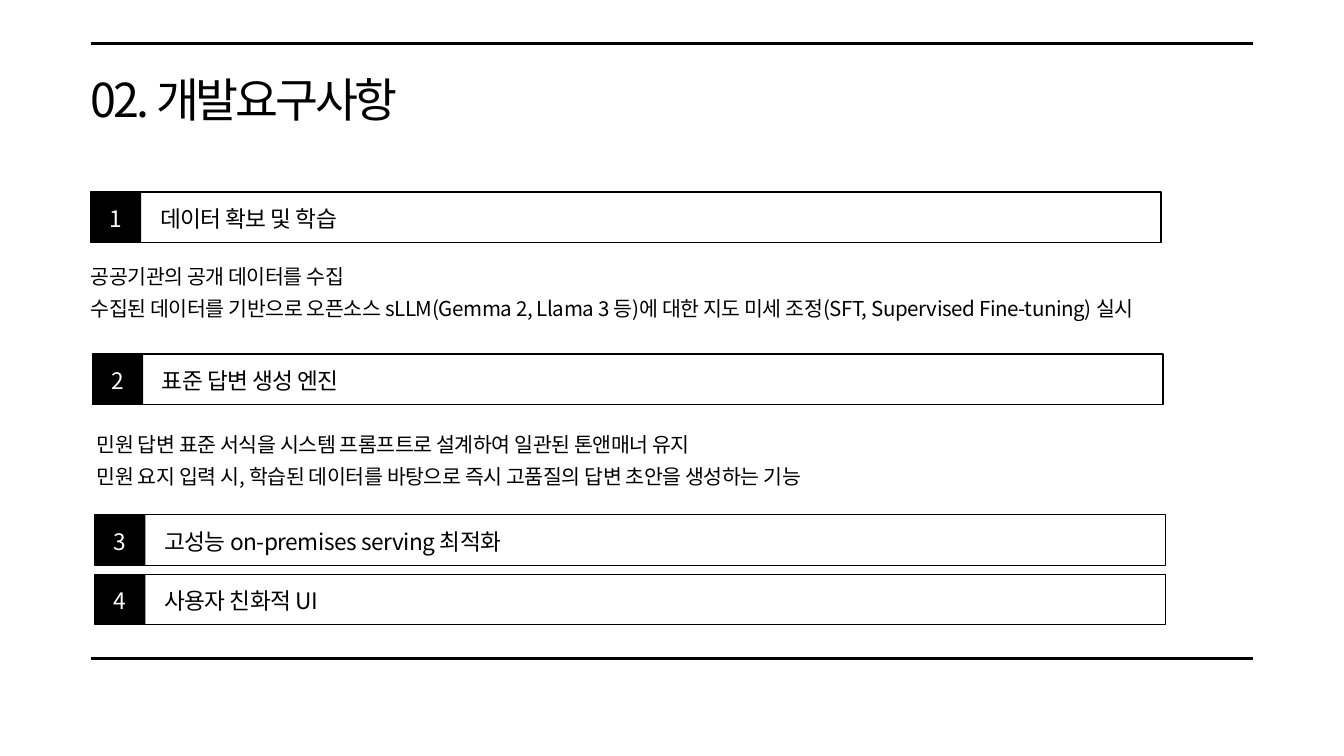
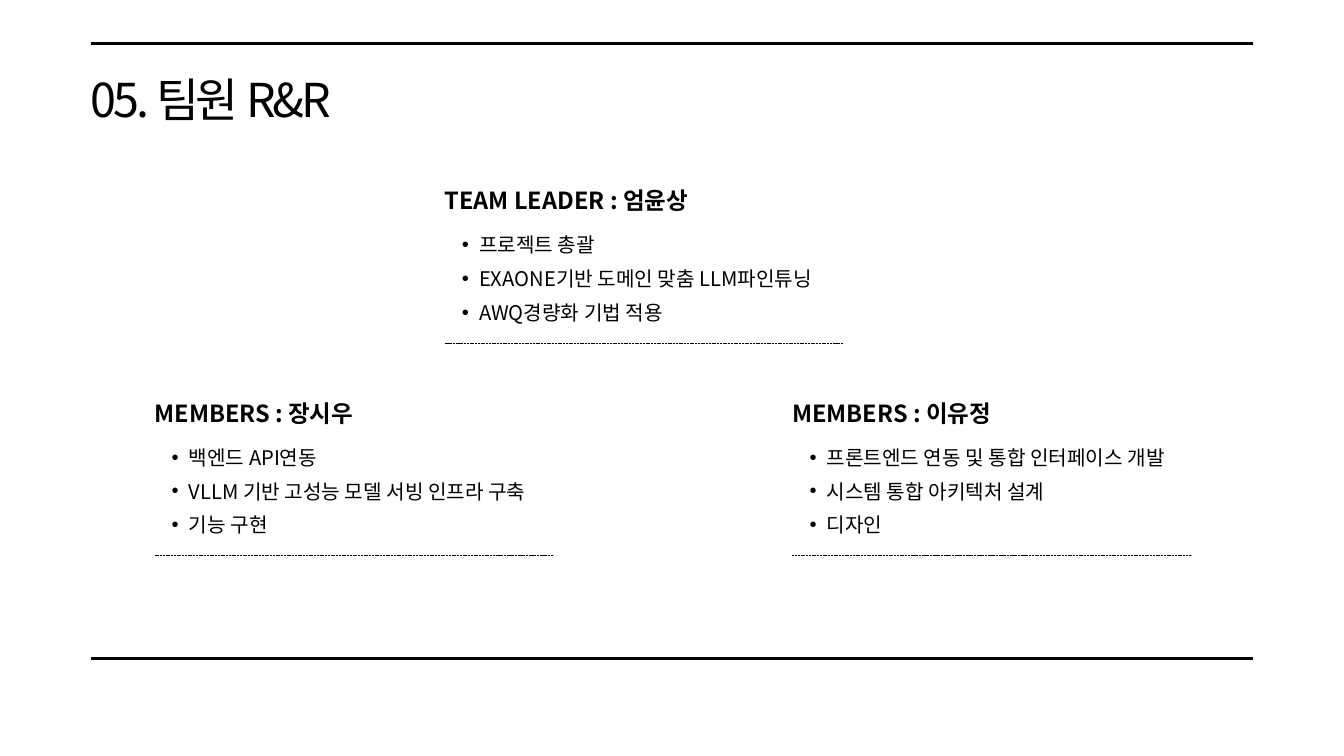
from collections import namedtuple

from lxml.etree import SubElement
from pptx import Presentation
from pptx.dml.color import RGBColor
from pptx.enum.dml import MSO_LINE
from pptx.enum.shapes import MSO_CONNECTOR, MSO_SHAPE
from pptx.enum.text import MSO_ANCHOR, MSO_AUTO_SIZE, PP_ALIGN
from pptx.oxml.ns import qn
from pptx.util import Cm, Pt

Box = namedtuple("Box", "left top width height")
Style = namedtuple("Style", "size leading color spacing bold align bullet",
                   defaults=("000000", 0, False, PP_ALIGN.LEFT, False))

FONT = "Noto Sans CJK KR"
BLACK, WHITE = "000000", "FFFFFF"
SLIDE_WIDTH, SLIDE_HEIGHT = 50.8, 28.58
MARGIN = 3.43
RULE_TOPS = (1.65, 24.89)

TITLE = Style(50, 48.5, spacing=-3.5)
HEADING = Style(24.3, 38.1, spacing=-0.5)
NUMBER = HEADING._replace(color=WHITE, align=PP_ALIGN.CENTER)
BODY = Style(22, 34.5, spacing=-0.4)
ROLE = Style(25.2, 37.6, bold=True)
DUTY = Style(21.6, 36.1, align=PP_ALIGN.JUSTIFY, bullet=True)

REQUIREMENTS = [
    (Box(3.43, 7.26, 40.46, 1.91), "데이터 확보 및 학습", (0, 2.44), [
        "공공기관의 공개 데이터를 수집",
        "수집된 데이터를 기반으로 오픈소스 sLLM(Gemma 2, Llama 3 등)에 대한 "
        "지도 미세 조정(SFT, Supervised Fine-tuning) 실시"]),
    (Box(3.5, 13.38, 40.46, 1.91), "표준 답변 생성 엔진", (0.16, 2.65), [
        "민원 답변 표준 서식을 시스템 프롬프트로 설계하여 일관된 톤앤매너 유지",
        "민원 요지 입력 시, 학습된 데이터를 바탕으로 즉시 고품질의 답변 초안을 생성하는 기능"]),
    (Box(3.59, 19.46, 40.46, 1.91), "고성능 on-premises serving 최적화", None, []),
    (Box(3.59, 21.71, 40.46, 1.91), "사용자 친화적 UI", None, []),
]

TEAM = [
    (Box(16.81, 6.78, 15.08, 6.2), "TEAM LEADER : 엄윤상",
     ["프로젝트 총괄", "EXAONE기반 도메인 맞춤 LLM파인튜닝", "AWQ경량화 기법 적용"]),
    (Box(5.84, 14.81, 15.08, 6.2), "MEMBERS : 장시우",
     ["백엔드 API연동", "VLLM 기반 고성능 모델 서빙 인프라 구축", "기능 구현"]),
    (Box(29.95, 14.81, 15.08, 6.2), "MEMBERS : 이유정",
     ["프론트엔드 연동 및 통합 인터페이스 개발", "시스템 통합 아키텍처 설계", "디자인"]),
]


def color_of(hex_string):
    return RGBColor.from_string(hex_string)


def set_values(target, values):
    for name, value in values.items():
        setattr(target, name, value)


def add_bullet(paragraph):
    paragraph.level = 1
    properties = paragraph._p.get_or_add_pPr()
    properties.set("marL", str(Cm(1.3)))
    properties.set("indent", str(Cm(-0.65)))
    SubElement(properties, qn("a:buFont")).set("typeface", "Arial")
    SubElement(properties, qn("a:buChar")).set("char", "•")


def fill_text(shape, lines, style):
    frame = shape.text_frame
    set_values(frame, {
        "margin_left": 0, "margin_top": 0, "margin_right": 0, "margin_bottom": 0,
        "word_wrap": True, "auto_size": MSO_AUTO_SIZE.NONE,
        "vertical_anchor": MSO_ANCHOR.TOP,
    })
    for index, line in enumerate(lines):
        paragraph = frame.add_paragraph() if index else frame.paragraphs[0]
        if style.bullet:
            add_bullet(paragraph)
        set_values(paragraph, {"alignment": style.align, "line_spacing": Pt(style.leading)})
        run = paragraph.add_run()
        run.text = line
        set_values(run.font, {"name": FONT, "size": Pt(style.size), "bold": style.bold})
        run.font.color.rgb = color_of(style.color)
        properties = run._r.get_or_add_rPr()
        properties.set("spc", str(round(style.spacing * 100)))
        SubElement(properties, qn("a:ea")).set("typeface", FONT)


def add_text(slide, box, lines, style):
    fill_text(slide.shapes.add_textbox(*map(Cm, box)), lines, style)


def add_rectangle(slide, box, fill, line_width=0):
    shape = slide.shapes.add_shape(MSO_SHAPE.RECTANGLE, *map(Cm, box))
    shape.shadow.inherit = False
    shape.fill.solid()
    shape.fill.fore_color.rgb = color_of(fill)
    if line_width:
        shape.line.color.rgb = color_of(BLACK)
        shape.line.width = Pt(line_width)
    else:
        shape.line.fill.background()


def add_rule(slide, left, top, width, weight, dash=None):
    rule = slide.shapes.add_connector(
        MSO_CONNECTOR.STRAIGHT, Cm(left), Cm(top), Cm(left + width), Cm(top))
    SubElement(rule._element.spPr, qn("a:effectLst"))
    rule.line.color.rgb = color_of(BLACK)
    set_values(rule.line, {"width": Pt(weight), "dash_style": dash})


def add_titled_slide(presentation, title):
    slide = presentation.slides.add_slide(presentation.slide_layouts[5])
    for top in RULE_TOPS:
        add_rule(slide, MARGIN, top, SLIDE_WIDTH - 2 * MARGIN, 3)
    set_values(slide.shapes.title, {
        "left": Cm(MARGIN), "top": Cm(3.1), "width": Cm(16.26), "height": Cm(1.85)})
    fill_text(slide.shapes.title, [title], TITLE)
    return slide


def add_requirement(slide, box, number, heading, body_offset, body):
    left, top, width, height = box
    add_rectangle(slide, box, WHITE, 1.5)
    add_rectangle(slide, Box(left, top, height, height), BLACK)
    add_text(slide, Box(left + 2.62, top + 0.17, 28.02, 1.3), [heading], HEADING)
    add_text(slide, Box(left, top + 0.17, height, 1.3), [str(number)], NUMBER)
    if body:
        shift, drop = body_offset
        add_text(slide, Box(left + shift, top + drop, 39.9, 2.42), body, BODY)


def add_member(slide, box, role, duties):
    left, top, width, height = box
    add_text(slide, Box(left, top, 10.13, 1.3), [role], ROLE)
    add_text(slide, Box(left, top + 1.66, 17.15, 3.76), duties, DUTY)
    add_rule(slide, left, top + height, width, 0.75, MSO_LINE.SQUARE_DOT)


def main():
    presentation = Presentation()
    set_values(presentation, {
        "slide_width": Cm(SLIDE_WIDTH), "slide_height": Cm(SLIDE_HEIGHT)})

    requirements_slide = add_titled_slide(presentation, "02. 개발요구사항")
    for number, (box, heading, body_offset, body) in enumerate(REQUIREMENTS, 1):
        add_requirement(requirements_slide, box, number, heading, body_offset, body)

    team_slide = add_titled_slide(presentation, "05. 팀원 R&R")
    for box, role, duties in TEAM:
        add_member(team_slide, box, role, duties)

    presentation.save("out.pptx")


if __name__ == "__main__":
    main()
